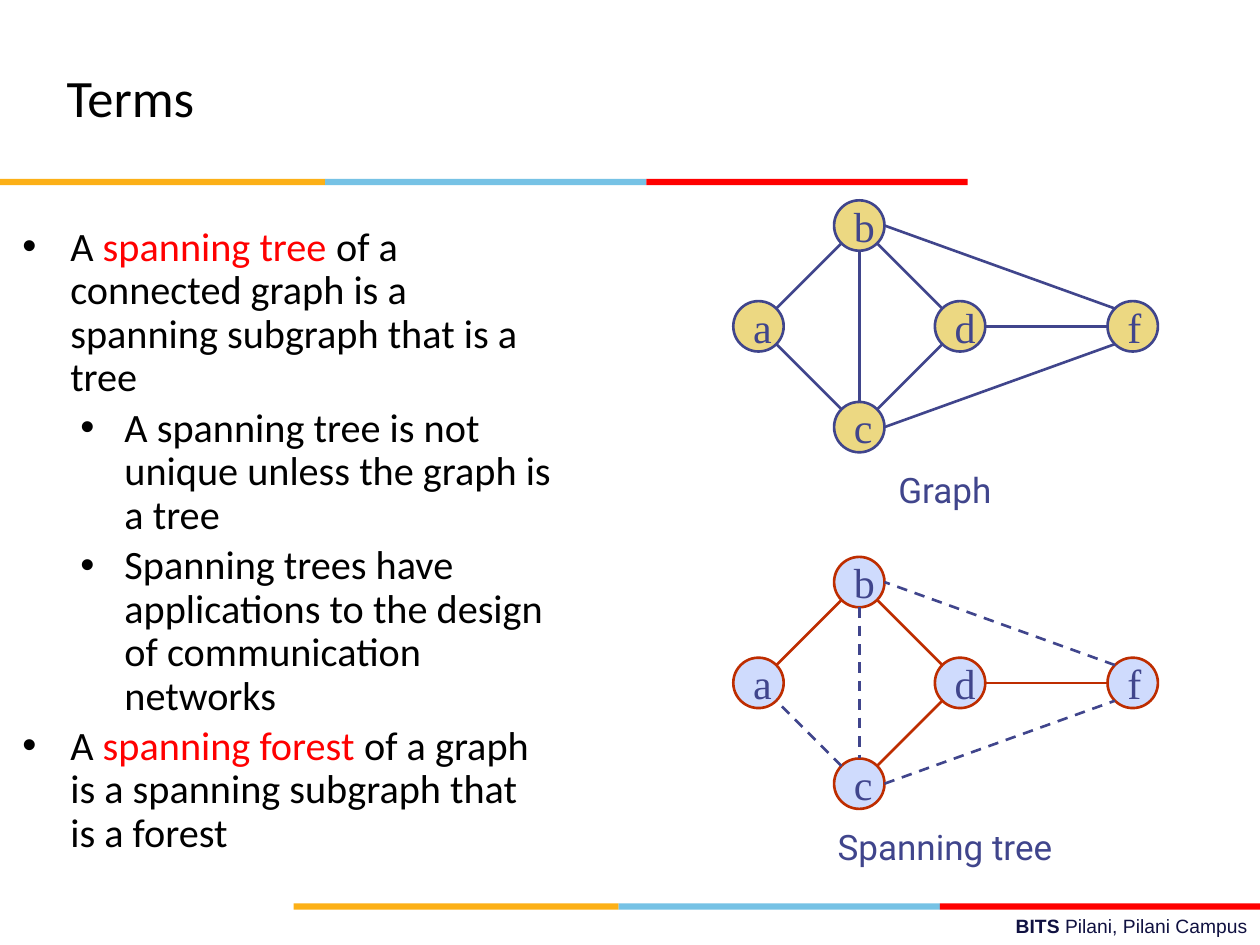
from dataclasses import dataclass
from math import cos, radians, sin

from lxml import etree
from pptx import Presentation
from pptx.dml.color import RGBColor
from pptx.enum.dml import MSO_LINE
from pptx.enum.shapes import MSO_CONNECTOR, MSO_SHAPE
from pptx.enum.text import MSO_ANCHOR, PP_ALIGN
from pptx.oxml.ns import qn
from pptx.util import Inches, Pt

RECTANGLE, OVAL = MSO_SHAPE.RECTANGLE, MSO_SHAPE.OVAL
STRAIGHT, DASH = MSO_CONNECTOR.STRAIGHT, MSO_LINE.DASH
LEFT, CENTER, RIGHT = PP_ALIGN.LEFT, PP_ALIGN.CENTER, PP_ALIGN.RIGHT
TOP, MIDDLE = MSO_ANCHOR.TOP, MSO_ANCHOR.MIDDLE

COLUMNS, ROWS = 100, 75  # grid cells across and down the slide


@dataclass(frozen=True)
class Theme:
    ink: str = "000000"
    accent: str = "FF0000"
    footer: str = "101141"
    stripes: tuple = ("FCB017", "76C2E5", "FF0000")
    indigo: str = "40458C"
    rust: str = "BE2D00"
    sand: str = "ECD882"
    pale_blue: str = "CFDBFD"
    text_font: str = "Calibri"
    footer_font: str = "Arial"
    caption_font: str = "Roboto"
    node_font: str = "Times New Roman"
    title_size: int = 30
    node_size: int = 24
    body_size: int = 23
    caption_size: int = 20
    footer_size: int = 11
    line_width: float = 1.5


THEME = Theme()

# Left margin and hanging indent of each outline level, in inches
INDENTS = ((0.38, -0.38), (0.81, -0.35))

OUTLINE = [
    (0, [("A ", THEME.ink), ("spanning tree ", THEME.accent),
         ("of a connected graph is a spanning subgraph that is a tree", THEME.ink)]),
    (1, [("A spanning tree is not unique unless the graph is a tree", THEME.ink)]),
    (1, [("Spanning trees have applications to the design of communication networks",
          THEME.ink)]),
    (0, [("A ", THEME.ink), ("spanning forest", THEME.accent),
         (" of a graph is a spanning subgraph that is a forest", THEME.ink)]),
]

# Node centres in grid cells, measured from node a
NODES = {"a": (0, 0), "b": (8, -8), "c": (8, 8), "d": (16, 0), "f": (29.7, 0)}
RADIUS = 2
# Each edge: node and angle where it leaves, node and angle where it arrives
EDGES = [
    ("b", 135, "a", -45), ("c", -135, "a", 45), ("c", -45, "d", 135),
    ("b", 45, "d", -135), ("b", 90, "c", -90), ("d", 0, "f", 180),
    ("c", 0, "f", 135), ("f", -135, "b", 0),
]
TREE = {"ba", "cd", "bd", "df"}


def color(value):
    return RGBColor.from_string(value)


def add_span(para, text, *, size, font, fill, bold=False):
    span = para.add_run()
    span.text = text
    span.font.size = Pt(size)
    span.font.name = font
    span.font.bold = bold
    span.font.color.rgb = color(fill)


def set_bullet(para, fill):
    properties = para._p.get_or_add_pPr()
    bullet_color = etree.SubElement(properties, qn("a:buClr"))
    etree.SubElement(bullet_color, qn("a:srgbClr"), val=fill)
    etree.SubElement(properties, qn("a:buFont"), typeface="Arial")
    etree.SubElement(properties, qn("a:buChar"), char="•")


class PageBuilder:
    def __init__(self, deck, theme):
        self.theme = theme
        self.page = deck.slides.add_slide(deck.slide_layouts[6])
        self.cell_width = deck.slide_width / COLUMNS
        self.cell_height = deck.slide_height / ROWS

    def place(self, column, row):
        return round(column * self.cell_width), round(row * self.cell_height)

    def shape(self, kind, column, row, columns, rows, fill, outline=None):
        shape = self.page.shapes.add_shape(
            kind, *self.place(column, row), *self.place(columns, rows))
        shape.shadow.inherit = False
        shape.fill.solid()
        shape.fill.fore_color.rgb = color(fill)
        if outline:
            shape.line.color.rgb = color(outline)
            shape.line.width = Pt(self.theme.line_width)
        else:
            shape.line.fill.background()
        return shape

    def text(self, column, row, columns, rows, spans, *, align=LEFT, anchor=TOP, **style):
        box = self.page.shapes.add_textbox(
            *self.place(column, row), *self.place(columns, rows))
        frame = box.text_frame
        frame.word_wrap = True
        frame.vertical_anchor = anchor
        para = frame.paragraphs[0]
        para.alignment = align
        for text, bold in spans:
            add_span(para, text, bold=bold, **style)
        return frame

    def outline(self, column, row, columns, rows, items):
        frame = self.text(column, row, columns, rows, [])
        for number, (level, spans) in enumerate(items):
            para = frame.add_paragraph() if number else frame.paragraphs[0]
            set_bullet(para, self.theme.ink)
            para.level = level
            margin, indent = INDENTS[level]
            properties = para._p.get_or_add_pPr()
            properties.set("marL", str(Inches(margin)))
            properties.set("indent", str(Inches(indent)))
            para.line_spacing = 0.9
            if number:
                para.space_before = Pt(4)
            for text, fill in spans:
                add_span(para, text, size=self.theme.body_size,
                         font=self.theme.text_font, fill=fill)

    def stripe(self, column, row):
        for fill, columns in zip(self.theme.stripes, (25.8, 25.5, 25.5)):
            self.shape(RECTANGLE, column, row, columns, 0.5, fill)
            column += columns

    def node(self, name, column, row, fill, outline):
        circle = self.shape(OVAL, column - RADIUS, row - RADIUS,
                            2 * RADIUS, 2 * RADIUS, fill, outline)
        frame = circle.text_frame
        frame.word_wrap = True
        frame.vertical_anchor = MIDDLE
        para = frame.paragraphs[0]
        para.alignment = LEFT
        add_span(para, name, size=self.theme.node_size,
                 font=self.theme.node_font, fill=self.theme.indigo)

    def edge(self, start, end, fill, dashed):
        line = self.page.shapes.add_connector(
            STRAIGHT, *self.place(*start), *self.place(*end))
        line.line.color.rgb = color(fill)
        line.line.width = Pt(self.theme.line_width)
        if dashed:
            line.line.dash_style = DASH
        etree.SubElement(line._element.spPr, qn("a:effectLst"))

    def graph(self, column, row, fill, outline, kept):
        centers = {name: (column + x, row + y) for name, (x, y) in NODES.items()}

        def rim(name, angle):
            x, y = centers[name]
            turn = radians(angle)
            return x + RADIUS * cos(turn), y + RADIUS * sin(turn)

        for name, center in centers.items():
            self.node(name, *center, fill, outline)
        for first, leave, second, arrive in EDGES:
            in_tree = first + second in kept
            self.edge(rim(first, leave), rim(second, arrive),
                      outline if in_tree else self.theme.indigo, not in_tree)


def main():
    deck = Presentation()
    deck.slide_width, deck.slide_height = Inches(10), Inches(7.5)
    builder = PageBuilder(deck, THEME)

    # Footer and colour stripes
    builder.text(35.8, 72.1, 64.2, 2.9,
                 [("BITS ", True), ("Pilani, Pilani Campus", False)], align=RIGHT,
                 size=THEME.footer_size, font=THEME.footer_font, fill=THEME.footer)
    builder.stripe(23.3, 71.7)
    builder.stripe(0, 14.2)

    # Title and outline
    builder.text(4.3, 3, 66.9, 9.3, [("Terms", False)], anchor=MIDDLE,
                 size=THEME.title_size, font=THEME.text_font, fill=THEME.ink)
    builder.outline(0.8, 17.5, 44, 49.5, OUTLINE)

    # Graph above, its spanning tree below
    every_edge = {first + second for first, _, second, _ in EDGES}
    diagrams = [
        ("Graph", 25.9, THEME.sand, THEME.indigo, every_edge),
        ("Spanning tree", 54.2, THEME.pale_blue, THEME.rust, TREE),
    ]
    for caption, row, fill, outline, kept in diagrams:
        builder.text(55, row + 10.8, 40, 4.3, [(caption, False)], align=CENTER,
                     size=THEME.caption_size, font=THEME.caption_font, fill=THEME.indigo)
        builder.graph(60.2, row, fill, outline, kept)

    deck.save("out.pptx")


if __name__ == "__main__":
    main()
